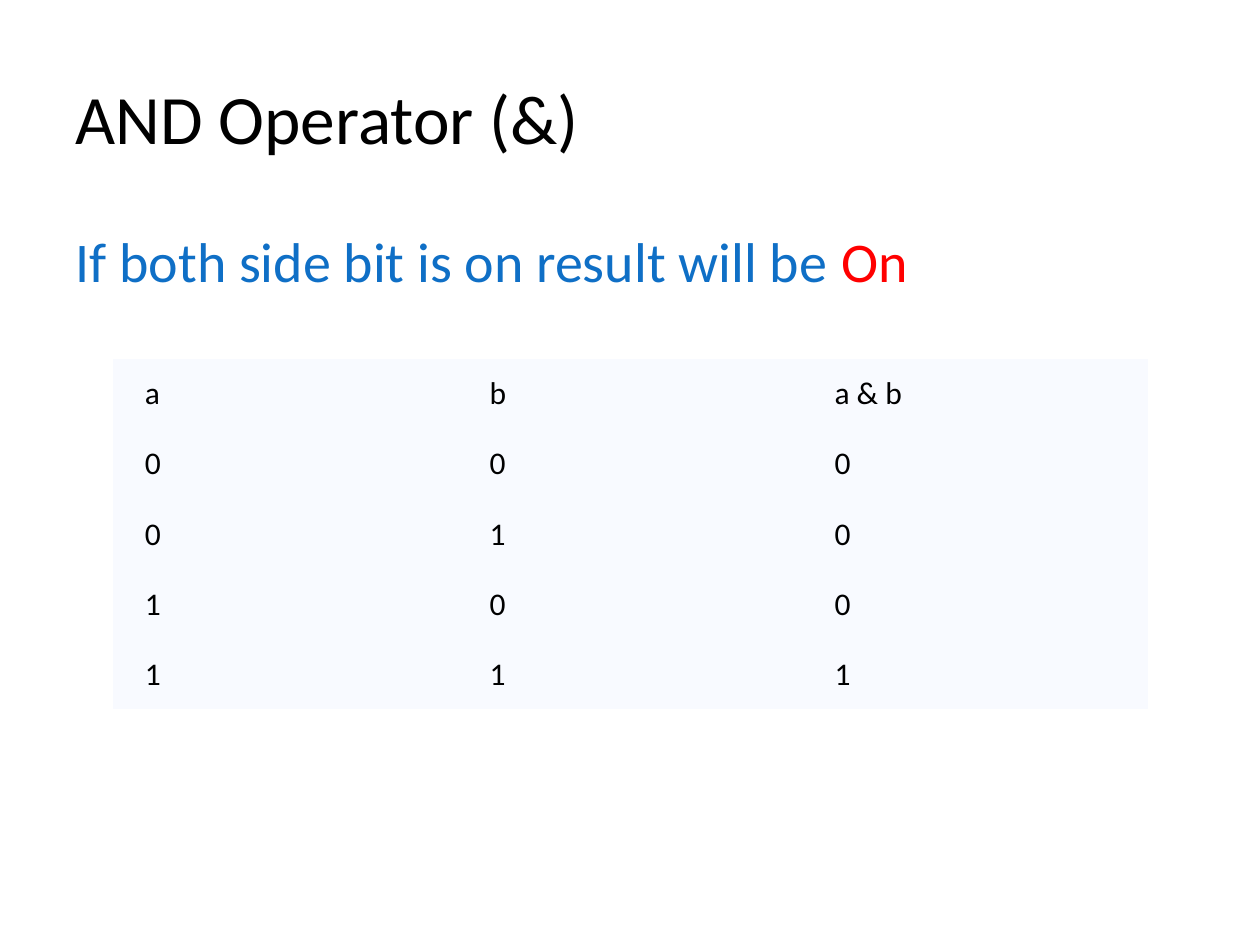
import pptx
import pptx.dml.color
import pptx.enum.text
import pptx.oxml.ns
import pptx.util
from lxml import etree
from pptx.util import Inches


def style(font, size, color):
    font.name = "Calibri"
    font.size = pptx.util.Pt(size)
    font.bold = False
    font.color.rgb = pptx.dml.color.RGBColor.from_string(color)


def place(shape, left, top, width, height):
    shape.left, shape.top = Inches(left), Inches(top)
    shape.width, shape.height = Inches(width), Inches(height)


MIDDLE = pptx.enum.text.MSO_ANCHOR.MIDDLE
LEFT = pptx.enum.text.PP_ALIGN.LEFT
NO_AUTOFIT = pptx.enum.text.MSO_AUTO_SIZE.NONE

prs = pptx.Presentation()
prs.slide_width, prs.slide_height = Inches(10), Inches(7.5)
slide = prs.slides.add_slide(prs.slide_layouts[1])

# Title
title = slide.shapes.title
place(title, 0.5, 0.3, 9, 1.25)
title.text_frame.text = "AND Operator (&)"
title.text_frame.auto_size = NO_AUTOFIT
title.text_frame.vertical_anchor = MIDDLE
heading = title.text_frame.paragraphs[0]
heading.alignment = LEFT
style(heading.runs[0].font, 39.6, "000000")

# Rule
body = slide.placeholders[1]
place(body, 0.5, 1.75, 9, 3.83)
body.text_frame.auto_size = NO_AUTOFIT
rule = body.text_frame.paragraphs[0]
properties = rule._p.get_or_add_pPr()
properties.set("marL", "0")
properties.set("indent", "0")
etree.SubElement(properties, pptx.oxml.ns.qn("a:buNone"))
rule.space_before = pptx.util.Pt(0)
for words, color in (("If both side bit is on result will be ", "0F6FC6"), ("On", "FF0000")):
    run = rule.add_run()
    run.text = words
    style(run.font, 32, color)

# Truth table
rows = [("a", "b", "a & b")]
rows += [(str(a), str(b), str(a & b)) for a in (0, 1) for b in (0, 1)]
truth_table = slide.shapes.add_table(
    len(rows), 3, Inches(0.9), Inches(2.85), Inches(8.21), Inches(2.78)).table
truth_table.first_row = False
truth_table.horz_banding = False
for row_index, row in enumerate(rows):
    for column_index, value in enumerate(row):
        cell = truth_table.cell(row_index, column_index)
        cell.fill.solid()
        cell.fill.fore_color.rgb = pptx.dml.color.RGBColor.from_string("F8FAFF")
        cell.margin_left = cell.margin_right = Inches(0.25)
        cell.margin_top = cell.margin_bottom = Inches(0.12)
        cell.vertical_anchor = MIDDLE
        # Clear the white grid lines of the default table style
        for side in ("a:lnL", "a:lnR", "a:lnT", "a:lnB"):
            border = etree.Element(pptx.oxml.ns.qn(side), w="0")
            etree.SubElement(border, pptx.oxml.ns.qn("a:noFill"))
            cell.fill._xPr.insert(len(cell.fill._xPr) - 1, border)
        cell.text_frame.text = value
        style(cell.text_frame.paragraphs[0].runs[0].font, 18, "000000")

prs.save("out.pptx")
